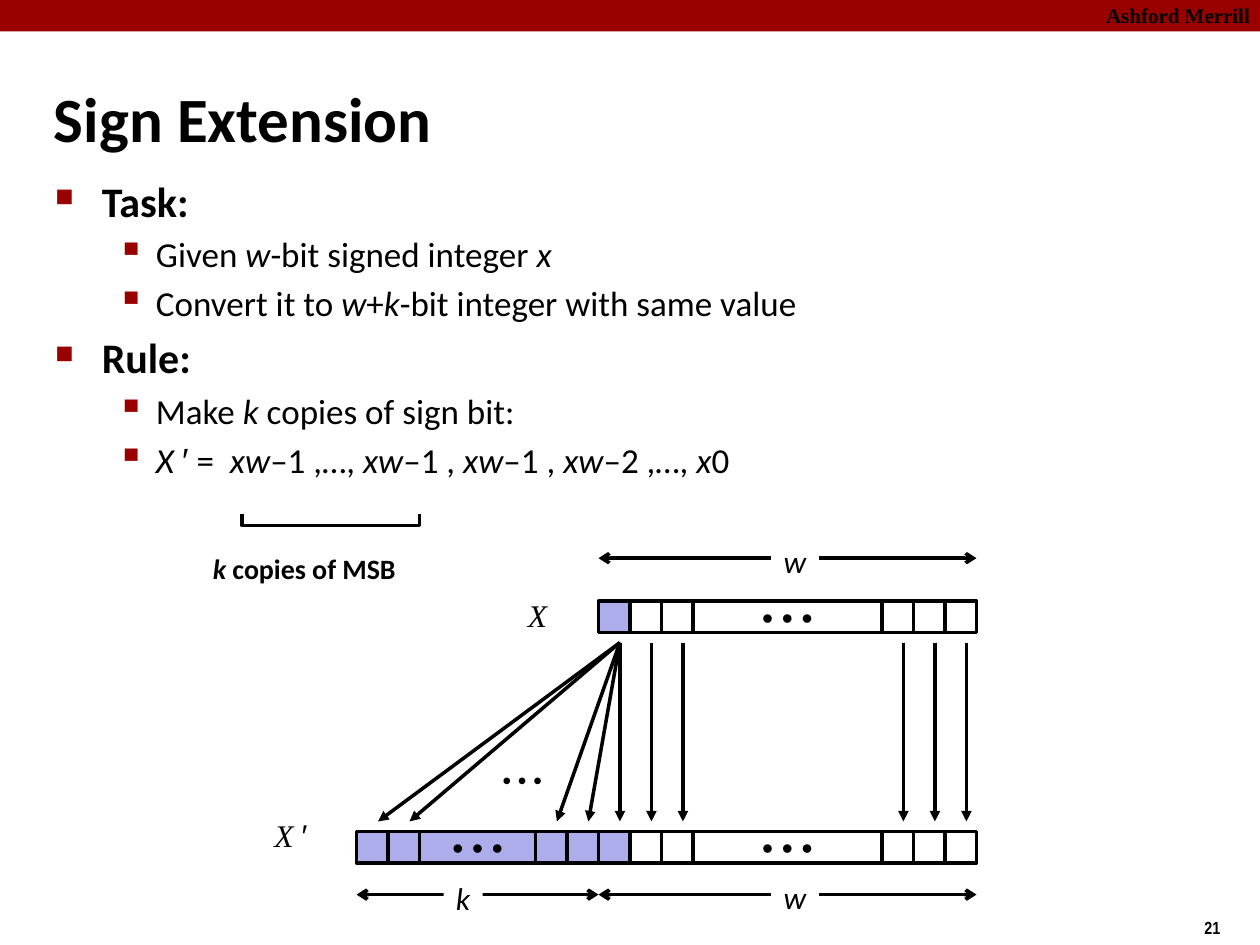
import pptx
import pptx.util
import pptx.dml.color
import pptx.enum.shapes
import pptx.enum.text
import pptx.oxml.ns
from lxml import etree

Inches = pptx.util.Inches
Pt = pptx.util.Pt
RGBColor = pptx.dml.color.RGBColor
SHAPE = pptx.enum.shapes.MSO_SHAPE
ALIGN = pptx.enum.text.PP_ALIGN
ANCHOR = pptx.enum.text.MSO_ANCHOR
qn = pptx.oxml.ns.qn

RED = RGBColor(0x99, 0x00, 0x00)
LILAC = RGBColor(0xAD, 0xAD, 0xEB)
WHITE = RGBColor(0xFF, 0xFF, 0xFF)
BLACK = RGBColor(0x00, 0x00, 0x00)

BIT = 0.25       # width and height of one bit
WORD_X = 4.75    # left edge of the w-bit word
WORD_END = 7.75
EXT_X = 2.83     # left edge of the k added bits
X_TOP, EXT_TOP = 4.77, 6.6
DOTS = "•\u00a0•\u00a0•"

BODY = [
    (0, "Task:"),
    (1, "Given *w*-bit signed integer *x*"),
    (1, "Convert it to *w*+*k*-bit integer with same value"),
    (0, "Rule:"),
    (1, "Make *k* copies of sign bit:"),
    (1, "*X *′ =  *xw*–1 ,…, *xw*–1 , *xw*–1 , *xw*–2 ,…, *x*0"),
]


def write(p, text, size=18, font="Calibri", bold=False, color=BLACK):
    """Fill a paragraph; *...* marks italics, and the prime is set in Arial."""
    for i, part in enumerate(text.split("*")):
        before, prime, after = part.partition("′")
        for piece, face in ((before, font), (prime, "Arial"), (after, font)):
            if piece:
                r = p.add_run()
                r.text = piece
                r.font.size, r.font.name = Pt(size), face
                r.font.bold, r.font.italic = bold, i % 2 == 1
                r.font.color.rgb = color


def add_text(s, x, y, w, h, text, wrap=False, fill=None, **fmt):
    sp = s.shapes.add_textbox(Inches(x), Inches(y), Inches(w), Inches(h))
    if fill is not None:
        sp.fill.solid()
        sp.fill.fore_color.rgb = fill
    tf = sp.text_frame
    tf.word_wrap = wrap
    write(tf.paragraphs[0], text, **fmt)
    return sp


def add_box(s, x, y, w, h, fill, outline=True, text=""):
    sp = s.shapes.add_shape(SHAPE.RECTANGLE, Inches(x), Inches(y), Inches(w), Inches(h))
    sp.shadow.inherit = False
    sp.fill.solid()
    sp.fill.fore_color.rgb = fill
    if outline:
        sp.line.color.rgb, sp.line.width = BLACK, Pt(2)
    else:
        sp.line.fill.background()
    if text:
        tf = sp.text_frame
        tf.word_wrap = False
        tf.vertical_anchor = ANCHOR.MIDDLE
        tf.paragraphs[0].alignment = ALIGN.CENTER
        write(tf.paragraphs[0], text, font="Arial")


def add_arrow(s, x1, y1, x2, y2, head=None, tail="triangle"):
    c = s.shapes.add_connector(pptx.enum.shapes.MSO_CONNECTOR.STRAIGHT,
                               Inches(x1), Inches(y1), Inches(x2), Inches(y2))
    c.line.color.rgb, c.line.width = BLACK, Pt(2)
    ln = c.line._get_or_add_ln()
    for tag, kind in (("a:headEnd", head), ("a:tailEnd", tail)):
        if kind:
            etree.SubElement(ln, qn(tag), type=kind)
    etree.SubElement(c._element.spPr, qn("a:effectLst"))


def add_span(s, x1, x2, y, text, label_x, label_y, label_w):
    """Double-headed measure with its label set over the middle."""
    add_arrow(s, x1, y, x2, y, head="arrow", tail="arrow")
    add_text(s, label_x, label_y, label_w, 0.4, text, fill=WHITE)


def add_bullet(p, level):
    margin, indent, gap, size, char = [(0.38, -0.37, 4.8, 60, "■"),
                                       (0.81, -0.31, 4, 110, "▪")][level]
    p.level = level
    p.space_before = Pt(gap)
    pPr = p._p.get_or_add_pPr()
    pPr.set("marL", str(Inches(margin)))
    pPr.set("indent", str(Inches(indent)))
    etree.SubElement(etree.SubElement(pPr, qn("a:buClr")), qn("a:srgbClr"), val=str(RED))
    etree.SubElement(pPr, qn("a:buSzPct"), val=str(size * 1000))
    etree.SubElement(pPr, qn("a:buChar"), char=char)


def add_body(s):
    sp = s.shapes.add_textbox(Inches(0.33), Inches(1.34), Inches(9.07), Inches(5.71))
    tf = sp.text_frame
    tf.word_wrap = True
    for i, (level, text) in enumerate(BODY):
        p = tf.add_paragraph() if i else tf.paragraphs[0]
        add_bullet(p, level)
        write(p, text, size=20 if level else 24, bold=level == 0)


def add_bracket(s, left, right, top, bottom):
    fb = s.shapes.build_freeform(Inches(left), Inches(top))
    fb.add_line_segments([(Inches(x), Inches(y)) for x, y in
                          ((left, bottom), (right, bottom), (right, top))], close=False)
    sp = fb.convert_to_shape()
    sp.shadow.inherit = False
    sp.fill.background()
    sp.line.color.rgb, sp.line.width = BLACK, Pt(2)


def add_word(s, y):
    """The w-bit word: sign bit, two bits, dots, three bits."""
    for i in (0, 1, 2, 9, 10, 11):
        add_box(s, WORD_X + i * BIT, y, BIT, BIT, WHITE if i else LILAC)
    add_box(s, WORD_X + 3 * BIT, y, 6 * BIT, BIT, WHITE, text=DOTS)


def add_extension(s, y):
    """The k copies of the sign bit, left of the word."""
    dots_x, dots_end = EXT_X + 2 * BIT, WORD_X - 2 * BIT
    add_box(s, dots_x, y, dots_end - dots_x, BIT, LILAC, text=DOTS)
    for x in (EXT_X, EXT_X + BIT, dots_end, dots_end + BIT):
        add_box(s, x, y, BIT, BIT, LILAC)


def add_copy_arrows(s):
    top, bottom = 5.1, 6.52
    sign_x = WORD_X + 0.17
    for x in (EXT_X + 0.17, EXT_X + 0.17 + BIT, sign_x - 2 * BIT, sign_x - BIT):
        add_arrow(s, sign_x, top, x, bottom)
    for i in (0, 1, 2, 9, 10, 11):
        add_arrow(s, sign_x + i * BIT, top, sign_x + i * BIT, bottom)


def main():
    prs = pptx.Presentation()
    prs.slide_width, prs.slide_height = Inches(10), Inches(7.5)
    s = prs.slides.add_slide(prs.slide_layouts[6])

    # Header band and page number
    add_box(s, 0, 0, 10, 0.25, RED, outline=False)
    sp = add_text(s, 8.64, -0.03, 1.38, 0.3, "Ashford Merrill", wrap=True,
                  size=12, font="Times New Roman", bold=True)
    sp.text_frame.paragraphs[0].alignment = ALIGN.RIGHT
    add_text(s, 9.46, 7.23, 0.75, 0.27, "21", wrap=True,
             size=10, font="Arial Narrow", bold=True)

    # Title and bullets
    add_text(s, 0.33, 0.58, 6.68, 0.61, "Sign Extension", wrap=True, size=36, bold=True)
    add_body(s)

    # Bracket under the copied bits
    add_bracket(s, 1.92, 3.33, 4.08, 4.17)
    add_text(s, 1.59, 4.33, 1.65, 0.36, "*k* copies of MSB", size=16, bold=True)

    # Both words and the arrows between them
    add_word(s, X_TOP)
    add_extension(s, EXT_TOP)
    add_word(s, EXT_TOP)
    add_copy_arrows(s)
    add_text(s, 4.09, 4.68, 0.41, 0.4, "*X*", font="Times New Roman")
    add_text(s, 2.08, 6.43, 0.5, 0.4, "*X *′", font="Times New Roman")
    add_text(s, 3.89, 6.02, 0.51, 0.33, DOTS, size=14, font="Arial")

    # Widths
    add_span(s, WORD_X, WORD_END, 4.43, "*w*", 6.12, 4.25, 0.38)
    add_span(s, WORD_X, WORD_END, 7.1, "*w*", 6.12, 6.92, 0.38)
    add_span(s, EXT_X, WORD_X, 7.1, "*k*", 3.52, 6.93, 0.31)

    prs.save("out.pptx")


if __name__ == "__main__":
    main()
